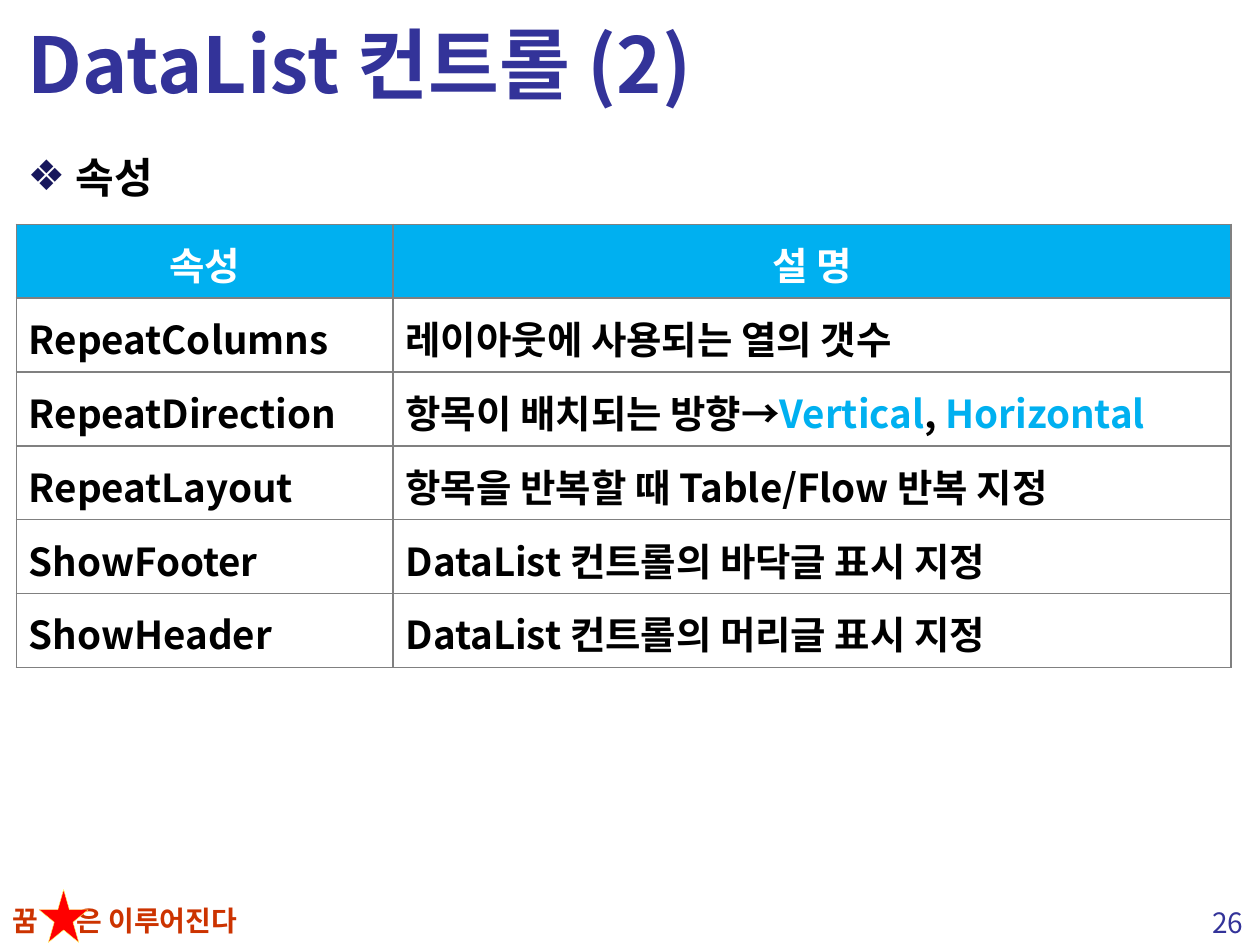
from dataclasses import dataclass

import lxml.etree
import pptx
import pptx.dml.color
import pptx.enum.shapes
import pptx.enum.text
import pptx.oxml.ns
import pptx.util
from pptx.util import Inches

ALIGN = pptx.enum.text.PP_ALIGN
ANCHOR = pptx.enum.text.MSO_ANCHOR
AUTO = pptx.enum.text.MSO_AUTO_SIZE


@dataclass(frozen=True)
class Theme:
    font: str = "Noto Sans CJK KR"
    title: str = "333399"
    text: str = "000000"
    white: str = "FFFFFF"
    accent: str = "00B0F0"
    bullet: str = "17175C"
    border: str = "808080"
    slogan: str = "CC3300"
    star: str = "FF0000"
    star_line: str = "FFFF66"
    title_size: int = 44
    body_size: int = 24
    table_size: int = 22
    footer_size: int = 16


@dataclass(frozen=True)
class Span:
    text: str
    color: str
    size: int
    bold: bool = True


@dataclass(frozen=True)
class Box:
    left: float
    top: float
    width: float
    height: float

    def lengths(self) -> list:
        return [Inches(v) for v in (self.left, self.top, self.width, self.height)]


THEME = Theme()
HEADER = ("속성", "설 명")
PROPERTIES = (
    ("RepeatColumns", "레이아웃에 사용되는 열의 갯수"),
    ("RepeatDirection", ("항목이 배치되는 방향→", "Vertical", ", ", "Horizontal")),
    ("RepeatLayout", "항목을 반복할 때 Table/Flow 반복 지정"),
    ("ShowFooter", "DataList 컨트롤의 바닥글 표시 지정"),
    ("ShowHeader", "DataList 컨트롤의 머리글 표시 지정"),
)
KEYWORDS = ("Vertical", "Horizontal")
COLUMN_WIDTHS = (2.99, 6.65)
ROW_HEIGHT = 0.52


def rgb(value: str):
    return pptx.dml.color.RGBColor.from_string(value)


def apply(target, values: dict) -> None:
    for name, value in values.items():
        setattr(target, name, value)


def add_xml(parent, tag: str, **attributes: str):
    return lxml.etree.SubElement(parent, pptx.oxml.ns.qn(tag), attributes)


def write(p, spans: list[Span], align=ALIGN.LEFT) -> None:
    p.alignment = align
    for span in spans:
        r = p.add_run()
        r.text = span.text
        apply(r.font, {"name": THEME.font, "size": pptx.util.Pt(span.size), "bold": span.bold})
        r.font.color.rgb = rgb(span.color)
        add_xml(r.font._element, "a:ea", typeface=THEME.font)


def space_lines(p, line: float) -> None:
    """Set line spacing, with a space before of 20 % of the line."""
    p.line_spacing = line
    p.space_before = 0
    before = p._p.pPr.find(pptx.oxml.ns.qn("a:spcBef"))
    before.clear()
    add_xml(before, "a:spcPct", val="20000")


def place(sp, box: Box) -> None:
    apply(sp, dict(zip(("left", "top", "width", "height"), box.lengths())))


def fill_title(sp) -> None:
    place(sp, Box(0.12, 0.06, 9.76, 0.88))
    tf = sp.text_frame
    apply(tf, {"auto_size": AUTO.NONE, "vertical_anchor": ANCHOR.MIDDLE})
    write(tf.paragraphs[0], [Span("DataList 컨트롤 (2)", THEME.title, THEME.title_size)])


def fill_body(sp) -> None:
    place(sp, Box(0.12, 1.07, 9.79, 6.04))
    sp.text_frame.auto_size = AUTO.NONE
    p = sp.text_frame.paragraphs[0]
    write(p, [Span("속성", THEME.text, THEME.body_size)])
    space_lines(p, 1.2)
    pPr = p._p.pPr
    indent = Inches(0.38)
    pPr.set("marL", str(indent))
    pPr.set("indent", str(-indent))
    add_xml(add_xml(pPr, "a:buClr"), "a:srgbClr", val=THEME.bullet)
    add_xml(pPr, "a:buChar", char="❖")


def draw_borders(cell) -> None:
    tcPr = cell._tc.get_or_add_tcPr()
    for i, side in enumerate(("a:lnL", "a:lnR", "a:lnT", "a:lnB")):
        ln = add_xml(tcPr, side, w=str(pptx.util.Pt(1)))
        add_xml(add_xml(ln, "a:solidFill"), "a:srgbClr", val=THEME.border)
        tcPr.insert(i, ln)


def fill_cell(cell, content, is_header: bool) -> None:
    base = THEME.white if is_header else THEME.text
    texts = (content,) if isinstance(content, str) else content
    spans = [Span(t, THEME.accent if t in KEYWORDS else base, THEME.table_size) for t in texts]
    p = cell.text_frame.paragraphs[0]
    write(p, spans, ALIGN.CENTER if is_header else ALIGN.LEFT)
    space_lines(p, 1.1)
    if is_header:
        cell.fill.solid()
        cell.fill.fore_color.rgb = rgb(THEME.accent)
    else:
        cell.fill.background()
    draw_borders(cell)


def add_property_table(s) -> None:
    rows = (HEADER, *PROPERTIES)
    box = Box(0.13, 1.78, sum(COLUMN_WIDTHS), ROW_HEIGHT * len(rows))
    table = s.shapes.add_table(len(rows), len(HEADER), *box.lengths()).table
    for column, width in zip(table.columns, COLUMN_WIDTHS):
        column.width = Inches(width)
    for i, row in enumerate(rows):
        for j, content in enumerate(row):
            fill_cell(table.cell(i, j), content, i == 0)


def add_text(s, box: Box, span: Span, wrap: bool = True, align=ALIGN.LEFT):
    tf = s.shapes.add_textbox(*box.lengths()).text_frame
    apply(tf, {"word_wrap": wrap, "auto_size": AUTO.SHAPE_TO_FIT_TEXT})
    write(tf.paragraphs[0], [span], align)
    return tf.paragraphs[0]


def add_footer(s) -> None:
    slogan = Span("꿈\t은 이루어진다", THEME.slogan, THEME.footer_size)
    p = add_text(s, Box(0, 7.12, 2.48, 0.37), slogan)
    tabs = add_xml(p._p.get_or_add_pPr(), "a:tabLst")
    add_xml(tabs, "a:tab", pos=str(Inches(0.51)), algn="l")

    star = s.shapes.add_shape(
        pptx.enum.shapes.MSO_SHAPE.STAR_5_POINT, *Box(0.31, 7.06, 0.39, 0.42).lengths())
    star.shadow.inherit = False
    star.fill.solid()
    star.fill.fore_color.rgb = rgb(THEME.star)
    star.line.color.rgb = rgb(THEME.star_line)
    star.line.width = pptx.util.Pt(0.25)

    number = Span("26", THEME.title, THEME.footer_size, bold=False)
    add_text(s, Box(9.49, 7.14, 0.51, 0.37), number, wrap=False, align=ALIGN.CENTER)


def main() -> None:
    prs = pptx.Presentation()
    apply(prs, {"slide_width": Inches(10), "slide_height": Inches(7.5)})
    s = prs.slides.add_slide(prs.slide_layouts[1])
    fill_title(s.shapes.title)
    fill_body(s.placeholders[1])
    add_property_table(s)
    add_footer(s)
    prs.save("out.pptx")


if __name__ == "__main__":
    main()
